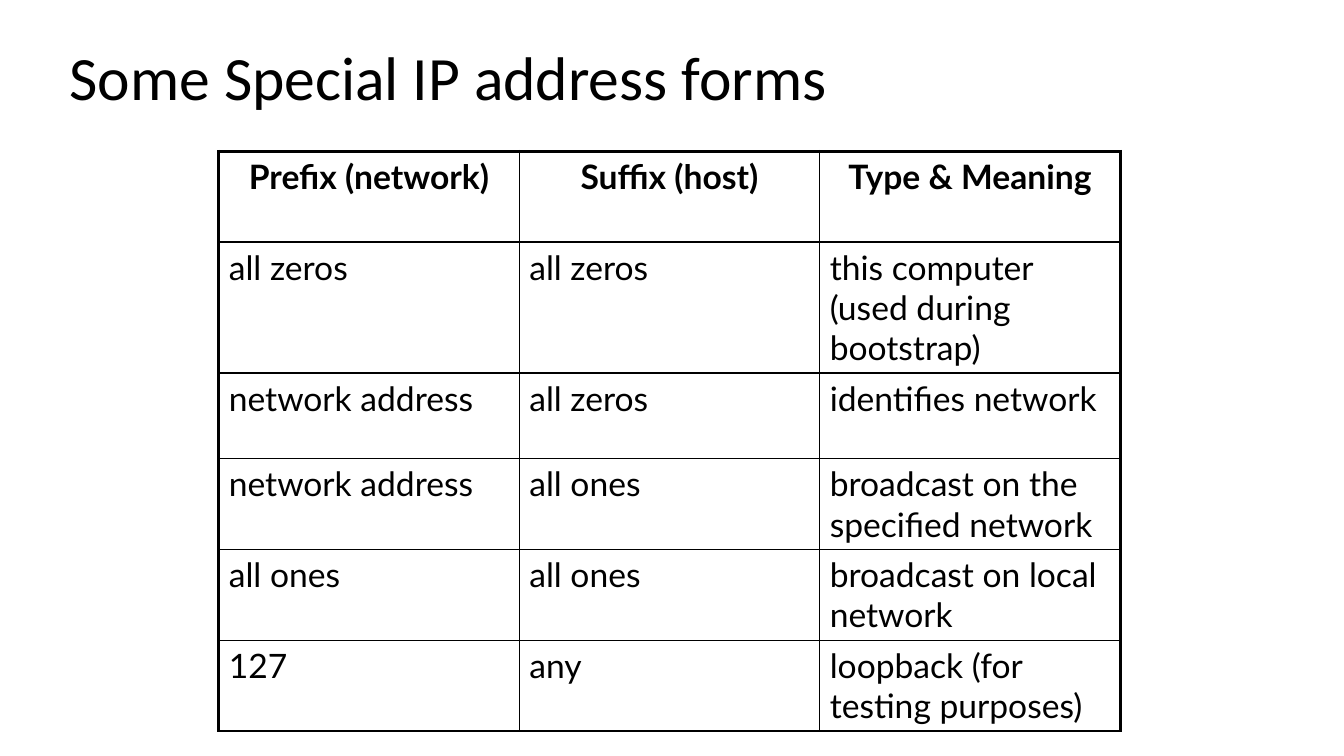
from dataclasses import dataclass

from lxml import etree
from pptx import Presentation
from pptx.dml.color import RGBColor
from pptx.enum.text import MSO_ANCHOR, MSO_AUTO_SIZE, PP_ALIGN
from pptx.oxml.ns import qn
from pptx.util import Inches, Pt

LEFT, CENTER = PP_ALIGN.LEFT, PP_ALIGN.CENTER
MIDDLE, TOP = MSO_ANCHOR.MIDDLE, MSO_ANCHOR.TOP
NO_AUTOFIT = MSO_AUTO_SIZE.NONE


@dataclass(frozen=True)
class Theme:
    ink: str = "000000"
    title_font: str = "Calibri"
    table_font: str = "Lato"
    title_size: int = 44
    table_size: int = 24
    outer_line: float = 2.25
    inner_line: float = 1


theme = Theme()


def style_font(font, name, size, bold=False):
    font.name, font.size, font.bold = name, Pt(size), bold
    font.color.rgb = RGBColor.from_string(theme.ink)


def set_borders(cell, widths):
    """Draw cell borders; widths maps L, R, T, B, in that order, to points."""
    properties = cell._tc.get_or_add_tcPr()
    for position, (side, width) in enumerate(widths.items()):
        line = etree.Element(qn(f"a:ln{side}"), w=str(Pt(width)))
        fill = etree.SubElement(line, qn("a:solidFill"))
        etree.SubElement(fill, qn("a:srgbClr"), val=theme.ink)
        properties.insert(position, line)


presentation = Presentation()
presentation.slide_width = Inches(13.33)
presentation.slide_height = Inches(7.5)
slide = presentation.slides.add_slide(presentation.slide_layouts[5])

title = slide.shapes.title
title.left, title.top = Inches(0.59), Inches(0.17)
title.width, title.height = Inches(11.96), Inches(1.25)
title.text_frame.text = "Some Special IP address forms"
title.text_frame.auto_size = NO_AUTOFIT
title.text_frame.vertical_anchor = MIDDLE
heading = title.text_frame.paragraphs[0]
heading.alignment = LEFT
heading.line_spacing = 0.9
style_font(heading.font, theme.title_font, theme.title_size)

address_forms = [
    ("Prefix (network)", "Suffix (host)", "Type & Meaning"),
    ("all zeros", "all zeros", "this computer (used during bootstrap)"),
    ("network address", "all zeros", "identifies network"),
    ("network address", "all ones", "broadcast on the specified network"),
    ("all ones", "all ones", "broadcast on local network"),
    ("127", "any", "loopback (for testing purposes)"),
]
row_heights = [0.9, 1.3, 0.85, 0.9, 0.9, 0.9]
column_width = 2.98
row_count, column_count = len(address_forms), len(address_forms[0])

table = slide.shapes.add_table(
    row_count, column_count, Inches(2.17), Inches(1.5),
    Inches(column_width * column_count), Inches(sum(row_heights)),
).table
table.first_row = table.horz_banding = False
for column in table.columns:
    column.width = Inches(column_width)

for row_index, (height, texts) in enumerate(zip(row_heights, address_forms)):
    table.rows[row_index].height = Inches(height)
    is_header = row_index == 0
    for column_index, text in enumerate(texts):
        cell = table.cell(row_index, column_index)
        cell.text = text
        cell.vertical_anchor = TOP
        cell.fill.background()
        paragraph = cell.text_frame.paragraphs[0]
        paragraph.alignment = CENTER if is_header else LEFT
        style_font(paragraph.font, theme.table_font, theme.table_size, is_header)
        on_edge = {
            "L": column_index == 0,
            "R": column_index == column_count - 1,
            "T": is_header,
            "B": row_index == row_count - 1,
        }
        set_borders(cell, {
            side: theme.outer_line if outer else theme.inner_line
            for side, outer in on_edge.items()
        })

presentation.save("out.pptx")
